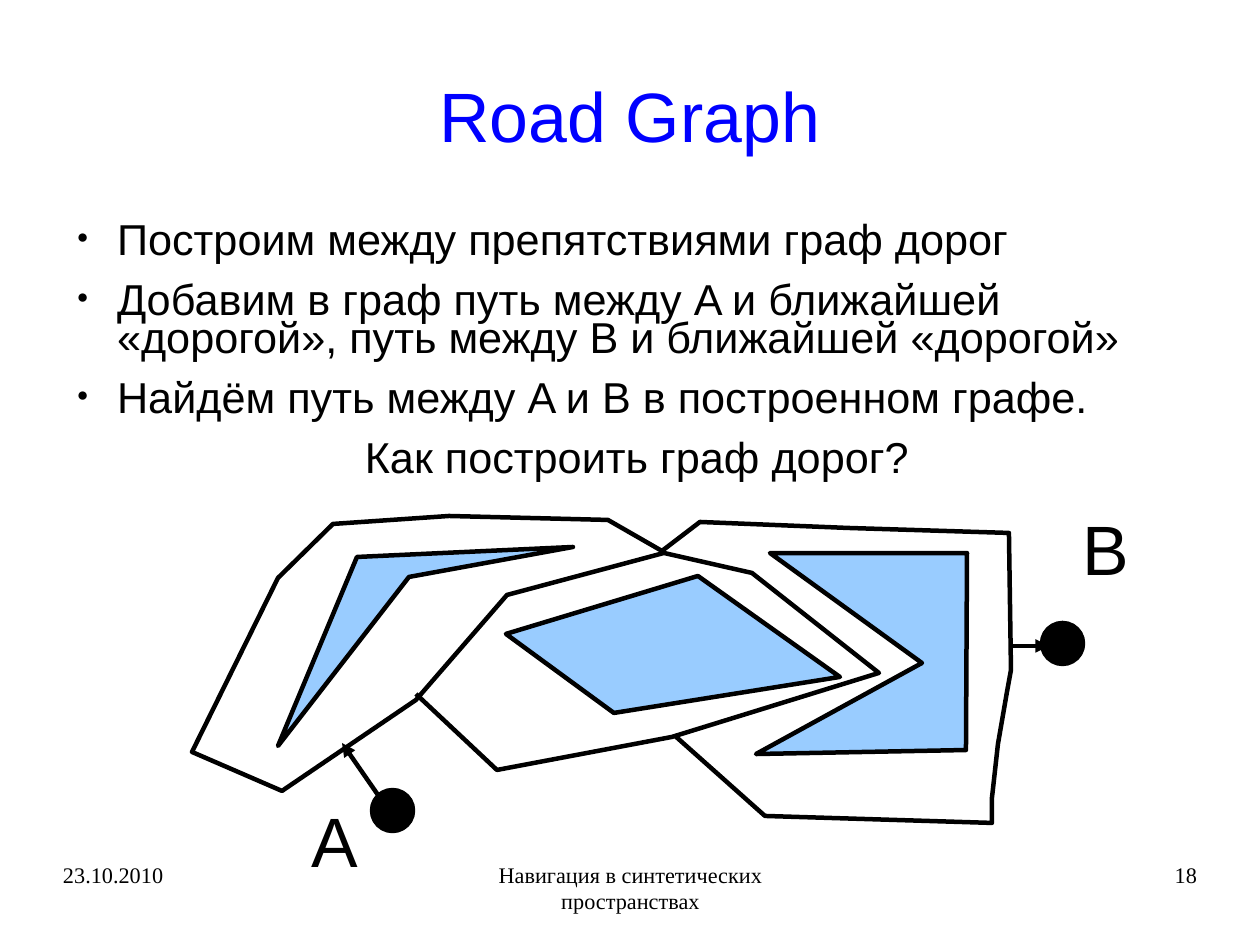
from lxml import etree
from pptx import Presentation
from pptx import util as u
from pptx.dml.color import RGBColor
from pptx.enum import shapes, text
from pptx.oxml import ns

PX = 8000
COLOURS = {"ink": "000000", "title": "0000FF", "obstacle": "99CCFF"}
LEFT, CENTRE, RIGHT = text.PP_ALIGN.LEFT, text.PP_ALIGN.CENTER, text.PP_ALIGN.RIGHT
TOP, MIDDLE = text.MSO_ANCHOR.TOP, text.MSO_ANCHOR.MIDDLE


class RoadSlide:
    """Draws the elements of the road graph slide in one style."""

    def __init__(self, presentation):
        self.slide = presentation.slides.add_slide(presentation.slide_layouts[1])
        self.shapes = self.slide.shapes
        self.line_width = u.Pt(2.83)

    def colour(self, name):
        return RGBColor.from_string(COLOURS[name])

    def child(self, parent, tag, **attributes):
        return etree.SubElement(parent, ns.qn(tag), attributes)

    def place(self, shape, box):
        shape.left, shape.top, shape.width, shape.height = (u.Emu(n * PX) for n in box)

    def frame(self, shape, insets, anchor=TOP, wrap=True):
        frame = shape.text_frame
        frame.auto_size = text.MSO_AUTO_SIZE.NONE
        frame.word_wrap = wrap
        frame.vertical_anchor = anchor
        (frame.margin_left, frame.margin_top,
         frame.margin_right, frame.margin_bottom) = (u.Emu(n * PX) for n in insets)
        return frame

    def format(self, paragraph, size, align, spacing=0.93, after=0,
               colour="ink", font="Arial"):
        paragraph.alignment = align
        paragraph.line_spacing = spacing
        paragraph.space_before = u.Pt(0)
        paragraph.space_after = u.Pt(after)
        paragraph.font.size = u.Pt(size)
        paragraph.font.name = font
        paragraph.font.color.rgb = self.colour(colour)

    def title(self, box, words):
        shape = self.shapes.title
        self.place(shape, box)
        frame = self.frame(shape, (0, 5, 0, 0), MIDDLE)
        frame.text = words
        self.format(frame.paragraphs[0], 44, CENTRE, colour="title")

    def body(self, box, bullets, question):
        shape = self.slide.placeholders[1]
        self.place(shape, box)
        frame = self.frame(shape, (0, 4, 0, 0))
        frame.text = "\n".join([*bullets, question])
        for index, paragraph in enumerate(frame.paragraphs):
            bulleted = index < len(bullets)
            self.bullet(paragraph, bulleted)
            self.format(paragraph, 27.2, LEFT if bulleted else CENTRE, 0.73, 14.1)

    def bullet(self, paragraph, shown):
        properties = paragraph._p.get_or_add_pPr()
        properties.set("marL", str(54 * PX))
        properties.set("indent", str(-40 * PX))
        if not shown:
            self.child(properties, "a:buNone")
            return
        colour = self.child(properties, "a:buClr")
        self.child(colour, "a:srgbClr", val=COLOURS["ink"])
        self.child(properties, "a:buSzPct", val="45000")
        self.child(properties, "a:buFont", typeface="Arial")
        self.child(properties, "a:buChar", char="●")

    def label(self, box, words, size=44, align=LEFT, font="Arial",
              insets=(11, 10, 11, 6), wrap=False, spacing=0.93):
        shape = self.shapes.add_textbox(0, 0, 0, 0)
        self.place(shape, box)
        frame = self.frame(shape, insets, wrap=wrap)
        frame.text = words
        self.format(frame.paragraphs[0], size, align, spacing, font=font)

    def footer(self, box, words, align):
        self.label(box, words, 14, align, "Times New Roman", (0, 0, 0, 0), True, 1.0)

    def paint(self, shape, fill):
        shape.shadow.inherit = False
        if fill:
            shape.fill.solid()
            shape.fill.fore_color.rgb = self.colour(fill)
        else:
            shape.fill.background()
        shape.line.color.rgb = self.colour("ink")
        shape.line.width = self.line_width

    def outline(self, points, fill=None):
        builder = self.shapes.build_freeform(*points[0], scale=PX)
        builder.add_line_segments(points[1:], close=fill is not None)
        self.paint(builder.convert_to_shape(), fill)

    def dot(self, left, top, size=41):
        shape = self.shapes.add_shape(shapes.MSO_SHAPE.OVAL, 0, 0, 0, 0)
        self.place(shape, (left, top, size, size))
        self.paint(shape, "ink")

    def arrow(self, start, end):
        ends = (u.Emu(n * PX) for n in (*start, *end))
        connector = self.shapes.add_connector(shapes.MSO_CONNECTOR.STRAIGHT, *ends)
        connector.line.color.rgb = self.colour("ink")
        connector.line.width = self.line_width
        self.child(connector.line._get_or_add_ln(), "a:tailEnd", type="triangle")
        self.child(connector._element.spPr, "a:effectLst")


def main():
    presentation = Presentation()
    presentation.slide_width = u.Emu(1260 * PX)
    presentation.slide_height = u.Emu(945 * PX)
    page = RoadSlide(presentation)

    page.title((63, 38, 1134, 158), "Road Graph")
    page.body((63, 221, 1134, 262), [
        "Построим между препятствиями граф дорог",
        "Добавим в граф путь между A и ближайшей «дорогой», "
        "путь между B и ближайшей «дорогой»",
        "Найдём путь между A и B в построенном графе.",
    ], "Как построить граф дорог?")

    obstacles = [
        [(278, 746), (357, 557), (573, 547), (409, 577)],
        [(506, 634), (698, 576), (840, 677), (614, 713)],
        [(756, 754), (922, 663), (770, 553), (967, 553), (966, 750)],
    ]
    for obstacle in obstacles:
        page.outline(obstacle, "obstacle")

    page.dot(372, 790)
    page.dot(1042, 623)
    page.label((301, 795, 70, 122), "A")
    page.label((1072, 503, 70, 89), "B")

    page.outline([
        (416, 694), (497, 770), (672, 737), (879, 673), (752, 573), (664, 553),
        (507, 595), (416, 700), (282, 791), (192, 752), (278, 578), (333, 524),
        (449, 516), (608, 520), (662, 551), (700, 522), (848, 528), (1009, 533),
        (1011, 670), (1007, 692), (998, 744), (992, 798), (992, 823), (765, 816),
        (674, 735),
    ])
    page.arrow((1011, 646), (1049, 646))
    page.arrow((378, 795), (342, 743))

    page.footer((431, 861, 399, 65), "Навигация в синтетических пространствах", CENTRE)
    page.footer((903, 861, 294, 65), "18", RIGHT)
    page.footer((63, 861, 294, 65), "23.10.2010", LEFT)

    presentation.save("out.pptx")


if __name__ == "__main__":
    main()
